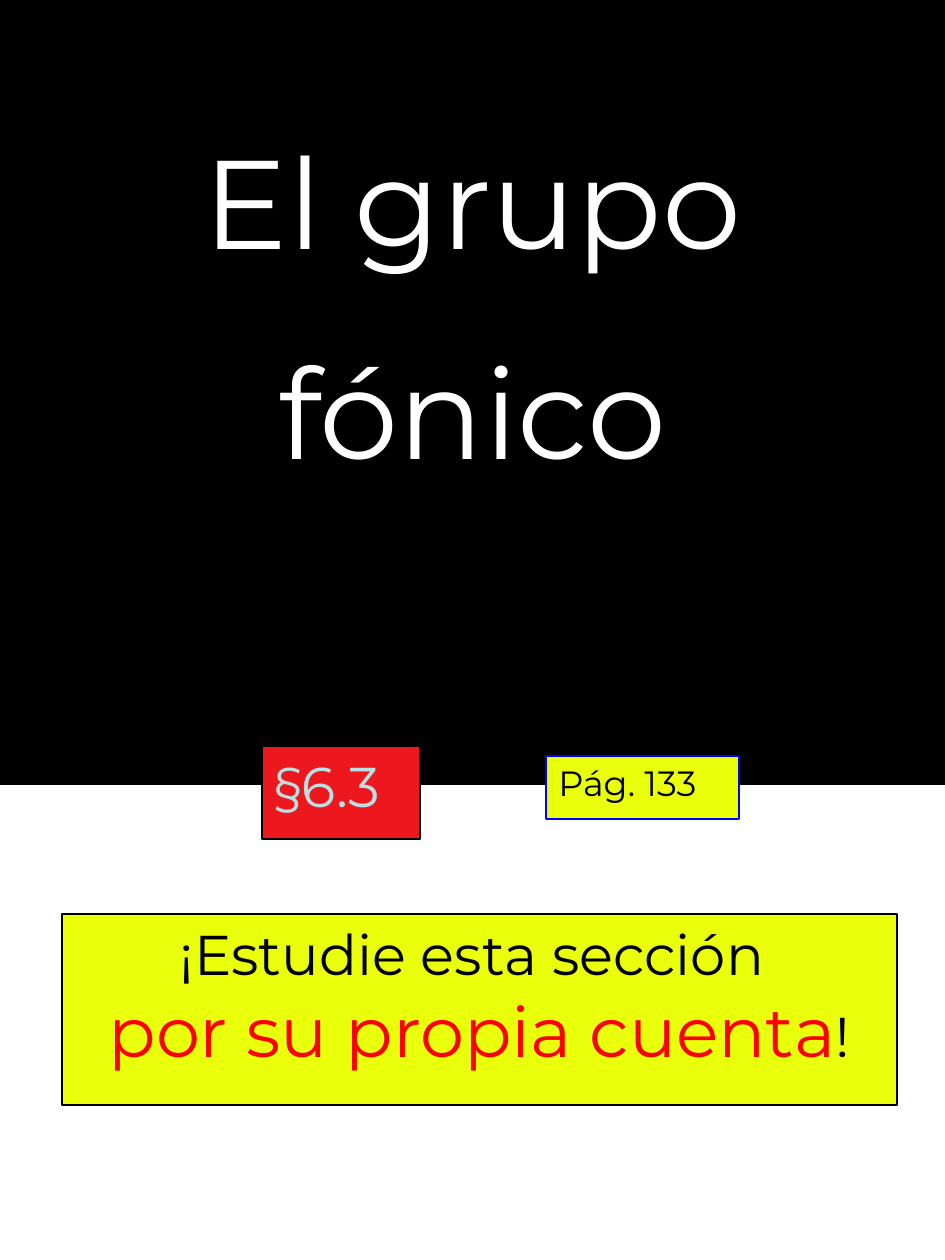
from dataclasses import dataclass

from pptx import Presentation
from pptx.dml.color import RGBColor
from pptx.enum.shapes import MSO_SHAPE
from pptx.enum.text import MSO_ANCHOR, MSO_AUTO_SIZE, PP_ALIGN
from pptx.shapes.autoshape import Shape
from pptx.slide import Slide
from pptx.util import Emu, Pt

RECTANGLE = MSO_SHAPE.RECTANGLE
TOP = MSO_ANCHOR.TOP
NO_AUTOFIT = MSO_AUTO_SIZE.NONE
LEFT, CENTER = PP_ALIGN.LEFT, PP_ALIGN.CENTER

BLACK = RGBColor(0x00, 0x00, 0x00)
WHITE = RGBColor(0xFF, 0xFF, 0xFF)
RED = RGBColor(0xFF, 0x00, 0x00)
BLUE = RGBColor(0x00, 0x00, 0xFF)
CRIMSON = RGBColor(0xED, 0x18, 0x1E)
YELLOW = RGBColor(0xE9, 0xFF, 0x0C)
PALE_BLUE = RGBColor(0xBB, 0xE0, 0xE3)

FONT = "Montserrat"
PX_PER_INCH = 126
SLIDE_WIDTH, SLIDE_HEIGHT = 945, 1260


def px(length: int) -> Emu:
    return Emu(round(length * 914400 / PX_PER_INCH))


@dataclass(frozen=True)
class Words:
    text: str
    size: int
    color: RGBColor


@dataclass(frozen=True)
class Panel:
    left: int
    top: int
    width: int
    height: int
    fill: RGBColor
    outline: RGBColor
    lines: tuple[tuple[Words, ...], ...]
    align: PP_ALIGN = LEFT
    wrap: bool = False
    top_inset: int = 6
    gap: int = 0  # points between paragraphs


HEADING = Panel(
    0, 0, SLIDE_WIDTH, 784, BLACK, BLACK,
    ((Words("El grupo", 72, WHITE),), (Words("fónico", 72, WHITE),)),
    CENTER, wrap=True, top_inset=123, gap=34,
)
LABELS = (
    # Section number
    Panel(262, 746, 158, 93, CRIMSON, BLACK,
          ((Words("§6.3", 32, PALE_BLUE),),)),
    # Study instruction
    Panel(62, 914, 835, 191, YELLOW, BLACK,
          ((Words("¡Estudie esta sección ", 32, BLACK),),
           (Words("por su propia cuenta", 40, RED), Words("!", 32, BLACK))),
          CENTER),
    # Page reference
    Panel(546, 756, 193, 63, YELLOW, BLUE,
          ((Words("Pág. 133", 20, BLACK),),)),
)


def format_panel(shape: Shape, panel: Panel) -> None:
    """Place a shape, colour it and write its lines."""
    for side in ("left", "top", "width", "height"):
        setattr(shape, side, px(getattr(panel, side)))
    shape.shadow.inherit = False
    shape.fill.solid()
    shape.fill.fore_color.rgb = panel.fill
    shape.line.color.rgb = panel.outline
    shape.line.width = Pt(0.75)

    frame = shape.text_frame
    frame_format = {
        "word_wrap": panel.wrap,
        "auto_size": NO_AUTOFIT,
        "vertical_anchor": TOP,
        "margin_top": px(panel.top_inset),
    }
    for attribute, value in frame_format.items():
        setattr(frame, attribute, value)

    for index, line in enumerate(panel.lines):
        paragraph = frame.add_paragraph() if index else frame.paragraphs[0]
        paragraph.alignment = panel.align
        if index:
            paragraph.space_before = Pt(panel.gap)
        for words in line:
            run = paragraph.add_run()
            run.text = words.text
            run_format = {"name": FONT, "size": Pt(words.size)}
            for attribute, value in run_format.items():
                setattr(run.font, attribute, value)
            run.font.color.rgb = words.color


def add_label(slide: Slide, panel: Panel) -> None:
    bounds = (panel.left, panel.top, panel.width, panel.height)
    format_panel(slide.shapes.add_shape(RECTANGLE, *map(px, bounds)), panel)


def main() -> None:
    deck = Presentation()
    deck.slide_width, deck.slide_height = px(SLIDE_WIDTH), px(SLIDE_HEIGHT)
    slide = deck.slides.add_slide(deck.slide_layouts[5])

    # Heading band
    format_panel(slide.shapes.title, HEADING)

    # Labels below and across the band's edge
    for label in LABELS:
        add_label(slide, label)

    deck.save("out.pptx")


if __name__ == "__main__":
    main()
